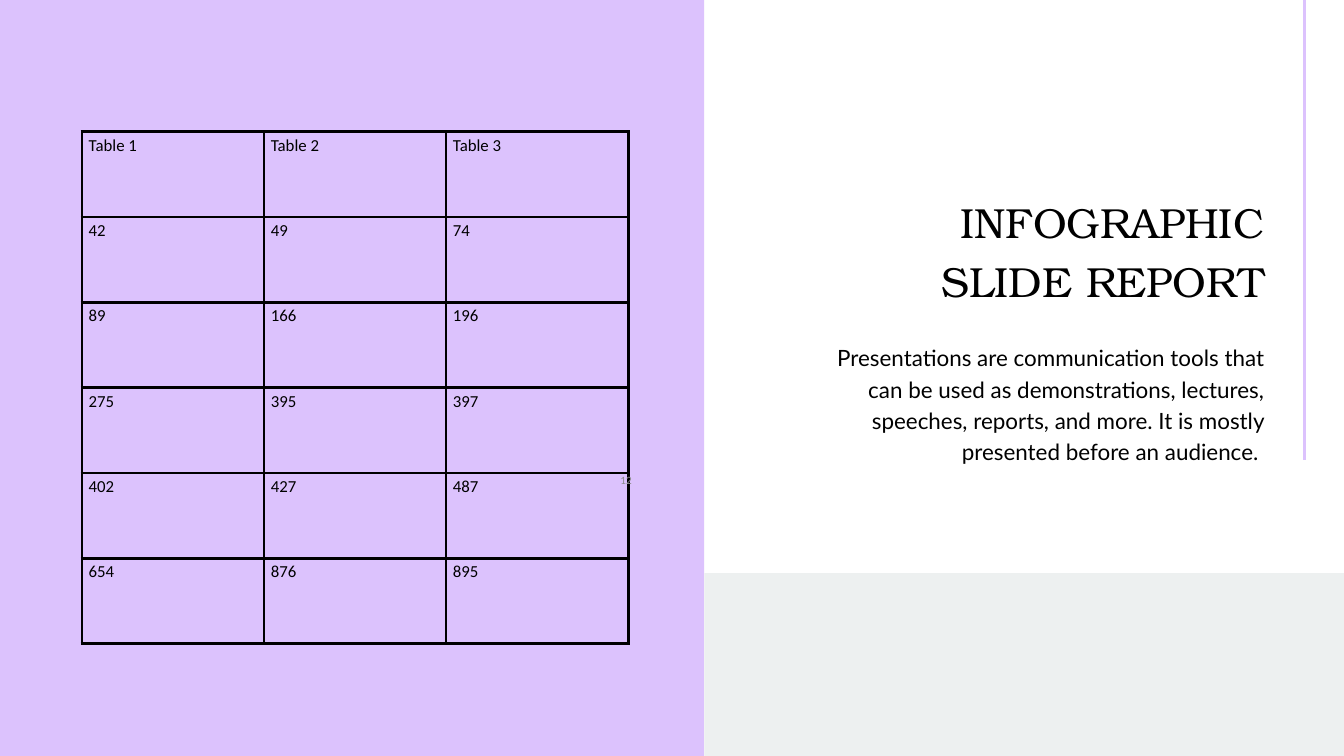
from lxml import etree
from pptx import Presentation
from pptx import util as u
from pptx.dml.color import RGBColor
from pptx.enum import shapes, text
from pptx.oxml import ns

COLS, ROWS = 20, 11.25
HUES = {"ink": "000000", "lilac": "DCC2FD", "mist": "EDF0F0", "gray": "8C8C8C"}
DATA = [
    ["Table 1", "Table 2", "Table 3"],
    [42, 49, 74],
    [89, 166, 196],
    [275, 395, 397],
    [402, 427, 487],
    [654, 876, 895],
]


class Deck:
    """Style and current slide; lengths are columns and rows of the grid."""

    def __init__(self):
        self.show = Presentation()
        self.show.slide_width = u.Inches(20)
        self.show.slide_height = u.Inches(11.25)
        self.unit = self.show.slide_width / COLS
        self.slide = self.show.slides.add_slide(self.show.slide_layouts[6])

    def grid(self, *spans):
        return [round(span * self.unit) for span in spans]

    def hue(self, name):
        return RGBColor.from_string(HUES[name])

    def style(self, para, face, size, hue="ink"):
        para.font.name = face
        para.font.size = u.Pt(size)
        para.font.color.rgb = self.hue(hue)

    def block(self, left, top, width, height, hue):
        box = self.slide.shapes.add_shape(
            shapes.MSO_SHAPE.RECTANGLE, *self.grid(left, top, width, height))
        box.shadow.inherit = False
        box.fill.solid()
        box.fill.fore_color.rgb = self.hue(hue)
        box.line.fill.background()

    def words(self, area, lines, face, size, pitch=None, hue="ink", inset=0):
        """Add right-aligned lines of text; pitch is the line height in points."""
        frame = self.slide.shapes.add_textbox(*self.grid(*area)).text_frame
        frame.word_wrap = True
        frame.margin_left = frame.margin_right = u.Inches(inset)
        frame.margin_top = frame.margin_bottom = u.Inches(inset / 2)
        if inset:
            frame.vertical_anchor = text.MSO_ANCHOR.MIDDLE
        frame.text = "\n".join(lines)
        for para in frame.paragraphs:
            para.alignment = text.PP_ALIGN.RIGHT
            if pitch:
                para.line_spacing = u.Pt(pitch)
            self.style(para, face, size, hue)

    def rule(self, start, end, hue, width):
        line = self.slide.shapes.add_connector(
            shapes.MSO_CONNECTOR.STRAIGHT, *self.grid(*start, *end))
        line.line.color.rgb = self.hue(hue)
        line.line.width = u.Pt(width)
        etree.SubElement(line._element.spPr, ns.qn("a:effectLst"))

    def edge(self, cell, width):
        """Draw all four borders of a cell."""
        props = cell._tc.get_or_add_tcPr()
        for side in ("lnL", "lnR", "lnT", "lnB"):
            line = etree.SubElement(props, ns.qn("a:" + side), w=str(u.Pt(width)))
            fill = etree.SubElement(line, ns.qn("a:solidFill"))
            etree.SubElement(fill, ns.qn("a:srgbClr"), val=HUES["ink"])

    def table(self, left, top, wide, high, data):
        """Add a table whose cells are each wide by high."""
        rows, cols = len(data), len(data[0])
        table = self.slide.shapes.add_table(
            rows, cols, *self.grid(left, top, wide * cols, high * rows)).table
        table.first_row = table.horz_banding = False
        for row, items in enumerate(data):
            for col, item in enumerate(items):
                cell = table.cell(row, col)
                cell.text = str(item)
                self.style(cell.text_frame.paragraphs[0], "Calibri", 18)
                self.edge(cell, 3)
                cell.fill.background()


def main():
    deck = Deck()
    split, floor = 10.48, 8.53
    left, width = 12.39, 6.42
    deck.words((left, 2.8, width, 1.72), ["INFOGRAPHIC", "SLIDE REPORT"],
               "TeX Gyre Bonum", 45, 63)
    deck.words((left, 5.06, width, 1.82),
               ["Presentations are communication tools that can be used as "
                "demonstrations, lectures, speeches, reports, and more. "
                "It is mostly presented before an audience. "],
               "Lato", 24, 33.6)
    deck.block(0, 0, split, ROWS, "lilac")
    deck.block(split, floor, COLS - split, ROWS - floor, "mist")
    deck.table(1.22, 1.96, 2.71, 1.27, DATA)
    deck.rule((19.41, 0), (19.41, 6.85), "lilac", 3.75)
    deck.words((7.17, 6.95, 2.33, 0.4), ["12"], "Calibri", 12,
               hue="gray", inset=0.1)
    deck.show.save("out.pptx")


if __name__ == "__main__":
    main()
